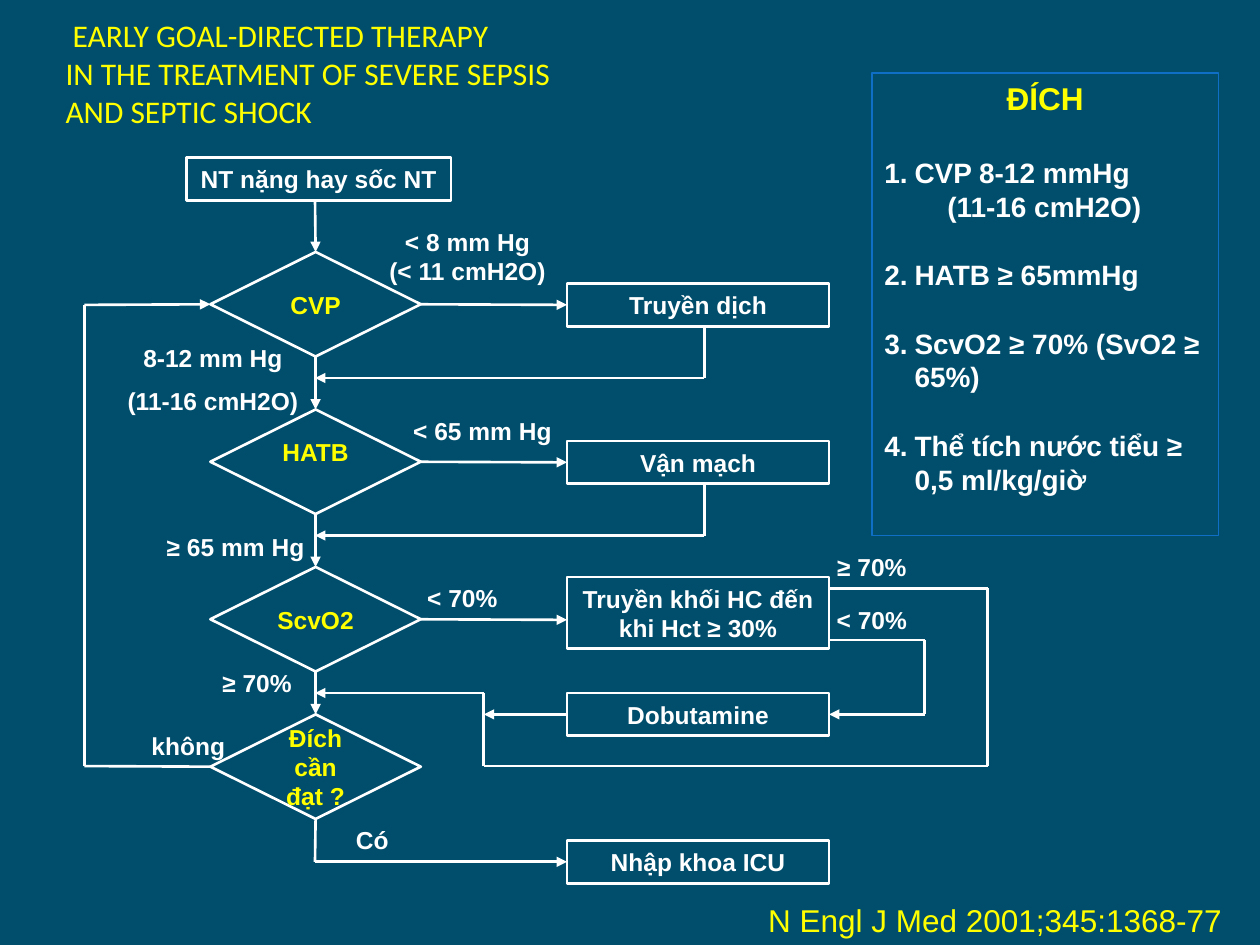
from lxml import etree
from pptx import Presentation
from pptx.dml.color import RGBColor
from pptx.enum.shapes import MSO_CONNECTOR, MSO_SHAPE
from pptx.enum.text import MSO_ANCHOR, PP_ALIGN
from pptx.oxml.ns import qn
from pptx.util import Inches, Pt

RECT, GEM = MSO_SHAPE.RECTANGLE, MSO_SHAPE.FLOWCHART_DECISION
LINE = MSO_CONNECTOR.STRAIGHT
LEFT, MID = PP_ALIGN.LEFT, PP_ALIGN.CENTER
TOP, CENTER = MSO_ANCHOR.TOP, MSO_ANCHOR.MIDDLE
NORTH, WEST, SOUTH, EAST = range(4)
HEX = {"back": "004E6C", "text": "FFFFFF", "key": "FFFF00", "edge": "0F6FC6"}


def color(name):
    return RGBColor.from_string(HEX[name])


def style(para, size, tint, bold=True, face="Arial", align=MID):
    para.alignment = align
    font = para.font
    font.size, font.bold, font.name = Pt(size), bold, face
    font.color.rgb = color(tint)


def write(frame, lines, size=14, tint="text", gap=0, anchor=TOP, **look):
    frame.word_wrap = True
    frame.vertical_anchor = anchor
    frame.text = "\n".join(lines)
    for i, para in enumerate(frame.paragraphs):
        para.space_before = Pt(gap if i else 0)
        style(para, size, tint, **look)


def label(slide, box, lines, **look):
    area = slide.shapes.add_textbox(*map(Inches, box))
    write(area.text_frame, lines, **look)


def node(slide, kind, box, edge="text", width=1.5):
    shape = slide.shapes.add_shape(kind, *map(Inches, box))
    shape.shadow.inherit = False
    shape.fill.background()
    shape.line.color.rgb = color(edge)
    shape.line.width = Pt(width)
    return shape


def route(slide, spots, start=None, end=None, arrow=True):
    last = len(spots) - 2
    for i, (a, b) in enumerate(zip(spots, spots[1:])):
        wire = slide.shapes.add_connector(LINE, *map(Inches, (*a, *b)))
        wire.line.color.rgb = color("text")
        wire.line.width = Pt(1.5)
        if i == 0 and start:
            wire.begin_connect(*start)
        if i == last and end:
            wire.end_connect(*end)
        if i == last and arrow:
            etree.SubElement(wire.line._get_or_add_ln(), qn("a:tailEnd"), type="triangle")
        etree.SubElement(wire._element.spPr, qn("a:effectLst"))


def flow(slide, x, y):
    def at(*spots):
        return [(x + a, y + b) for a, b in spots]

    def step(text, top, left=3.83, width=2.08, high=0.34):
        shape = node(slide, RECT, (x + left, y + top, width, high))
        write(shape.text_frame, [text], anchor=CENTER)
        return shape

    def test(text, top, lift=0):
        shape = node(slide, GEM, (x + 1, y + top, 1.67, 0.83))
        write(shape.text_frame, [text], tint="key", anchor=CENTER)
        shape.text_frame.margin_bottom = Inches(0.05 + 2 * lift)
        return shape

    step("NT nặng hay sốc NT", 0, 0.81, 2.1)
    cvp = test("CVP", 0.75)
    hatb = test("HATB", 2, 0.08)
    scvo = test("ScvO2", 3.25)
    goal = test("Đích cần đạt ?", 4.42)
    fluid = step("Truyền dịch", 1)
    press = step("Vận mạch", 2.25)
    step("Truyền khối HC đến khi Hct ≥ 30%", 3.33, high=0.57)
    dobu = step("Dobutamine", 4.25)
    icu = step("Nhập khoa ICU", 5.42)

    route(slide, at((1.83, 0.33), (1.83, 0.75)), end=(cvp, NORTH))
    gems = [cvp, hatb, scvo, goal]
    for a, b in zip(gems, gems[1:]):
        route(slide, at((1.83, 0), (1.83, 1)), (a, SOUTH), (b, NORTH))
    for a, b, mid in ((cvp, fluid, 1.17), (hatb, press, 2.42)):
        route(slide, at((2.67, mid), (3.83, mid)), (a, EAST), (b, WEST))
        route(slide, at((4.92, mid + 0.17), (4.92, mid + 0.58), (1.83, mid + 0.58)))
    route(slide, at((2.67, 3.67), (3.83, 3.67)), (scvo, EAST))
    route(slide, at((5.92, 3.83), (6.67, 3.83), (6.67, 4.42), (5.92, 4.42)), end=(dobu, EAST))
    route(slide, at((5.92, 3.42), (7.17, 3.42), (7.17, 4.83), (3.17, 4.83),
                    (3.17, 4.25), (1.83, 4.25)))
    route(slide, at((3.83, 4.42), (3.17, 4.42)), (dobu, WEST))
    route(slide, at((1, 4.83), (0, 4.83), (0, 1.17), (1, 1.17)), (goal, WEST), (cvp, WEST))
    route(slide, at((1.83, 5.25), (1.83, 5.59), (3.83, 5.59)), (goal, SOUTH), (icu, WEST))

    for left, top, width, *lines in (
        (2.25, 0.5, 1.58, "< 8 mm Hg", "(< 11 cmH2O)"),
        (2.41, 2, 1.5, "< 65 mm Hg"),
        (0.41, 2.92, 1.58, "≥ 65 mm Hg"),
        (2.25, 3.33, 1.5, "< 70%"),
        (0.58, 4, 1.58, "≥ 70%"),
        (5.75, 3.5, 1, "< 70%"),
        (5.75, 3.08, 1, "≥ 70%"),
        (0.41, 4.5, 0.83, "không"),
        (1.91, 5.25, 0.75, "Có"),
    ):
        label(slide, (x + left, y + top, width, 0.34 * len(lines)), lines)
    label(slide, (x + 0.06, y + 1.42, 1.92, 0.69), ["8-12 mm Hg", "(11-16 cmH2O)"], gap=8)


def goals(slide, box):
    frame = node(slide, RECT, box, "edge", 0.75).text_frame
    write(frame, ["ĐÍCH"], 18, "key")
    items = ("CVP 8-12 mmHg", "HATB ≥ 65mmHg", "ScvO2 ≥ 70% (SvO2 ≥ 65%)",
             "Thể tích nước tiểu ≥ 0,5 ml/kg/giờ")
    for i, text in enumerate(items, 1):
        para = frame.add_paragraph()
        para.text = text
        para.space_before = Pt(22 if i == 1 else 20)
        props = para._p.get_or_add_pPr()
        props.set("marL", str(Inches(0.24)))
        props.set("indent", str(-Inches(0.24)))
        etree.SubElement(props, qn("a:buFont"), typeface="+mj-lt")
        etree.SubElement(props, qn("a:buAutoNum"), type="arabicPeriod", startAt=str(i))
        style(para, 16, "text", align=LEFT)
        if i == 1:
            note = frame.add_paragraph()
            note.text = "\t(11-16 cmH2O)"
            style(note, 16, "text", align=LEFT)


def title(slide, box):
    head = slide.shapes.title
    head.left, head.top, head.width, head.height = map(Inches, box)
    write(head.text_frame, [" EARLY GOAL-DIRECTED THERAPY", "IN THE TREATMENT OF SEVERE SEPSIS",
                            "AND SEPTIC SHOCK"],
          18, "key", bold=False, face="Calibri", align=LEFT)


def main():
    deck = Presentation()
    deck.slide_width, deck.slide_height = Inches(10), Inches(7.5)
    slide = deck.slides.add_slide(deck.slide_layouts[5])
    fill = slide.background.fill
    fill.solid()
    fill.fore_color.rgb = color("back")
    title(slide, (0.42, 0.08, 6.08, 1.01))
    flow(slide, 0.67, 1.25)
    goals(slide, (6.92, 0.58, 2.75, 3.67))
    label(slide, (5.93, 7.1, 3.9, 0.4), [" N Engl J Med 2001;345:1368-77"],
          size=18, tint="key", bold=False, align=LEFT)
    deck.save("out.pptx")


if __name__ == "__main__":
    main()
